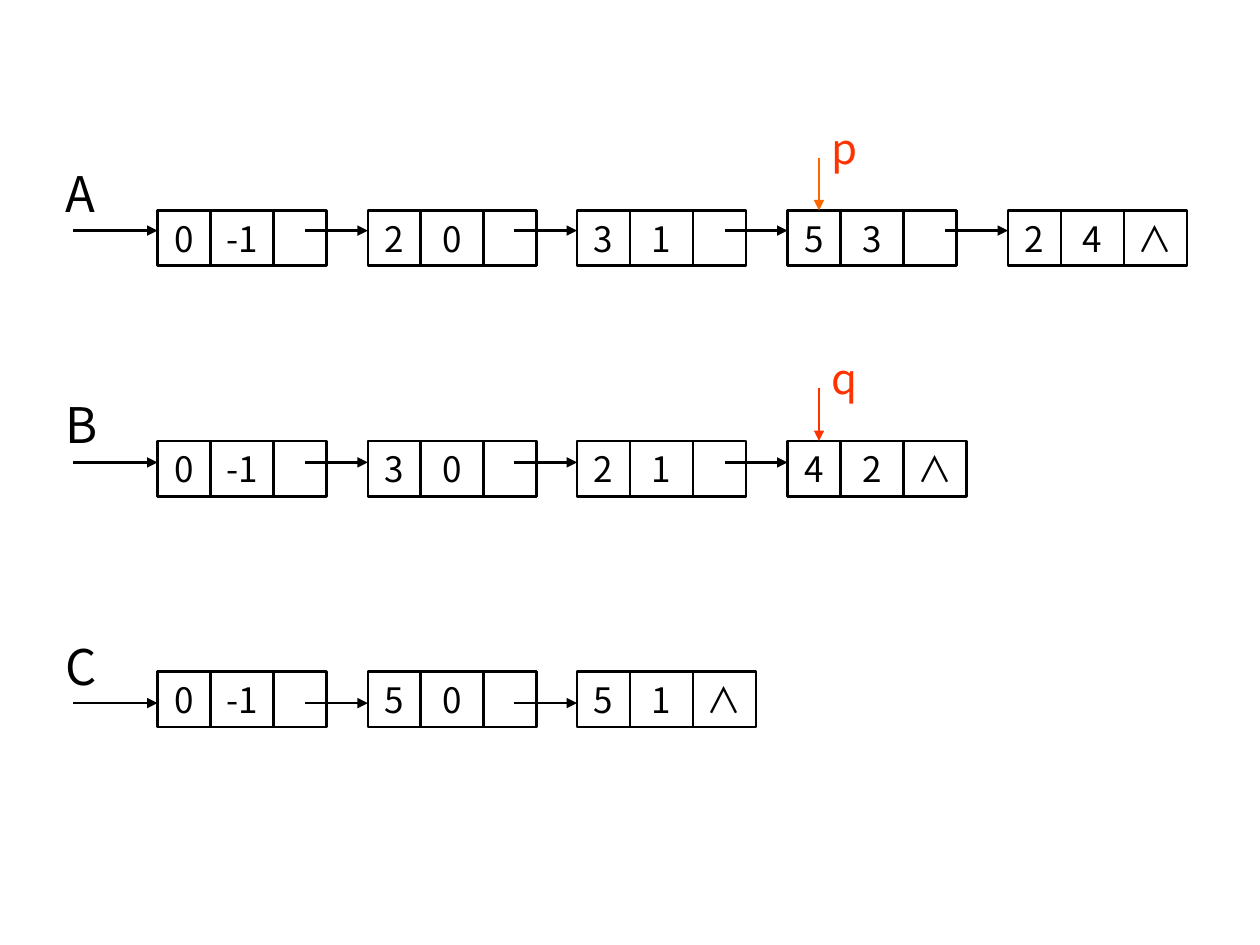
from lxml import etree
from pptx import Presentation, util as u
from pptx.dml.color import RGBColor
from pptx.enum import shapes, text
from pptx.oxml.ns import qn

COLORS = {"ink": "000000", "orange": "FF6600", "red": "FF3300"}
LATIN_FONT = "Noto Sans CJK JP"
SYMBOL_FONT = "Noto Sans CJK SC"
END = "∧"

LISTS = [
    {"name": "A", "top": 1.67, "label_top": 1.25, "arrow_y": 1.83,
     "terms": [("0", "-1"), ("2", "0"), ("3", "1"), ("5", "3"), ("2", "4")]},
    {"name": "B", "top": 3.5, "label_top": 3.08, "arrow_y": 3.67,
     "terms": [("0", "-1"), ("3", "0"), ("2", "1"), ("4", "2")]},
    {"name": "C", "top": 5.33, "label_top": 5, "arrow_y": 5.58,
     "terms": [("0", "-1"), ("5", "0"), ("5", "1")]},
]
POINTERS = [("p", 1.67, "orange"), ("q", 3.5, "red")]
NODE_LEFTS = [1.25, 2.92, 4.58, 6.25, 8]
CELL_HEIGHT = 0.44
COEF_WIDTH, EXP_WIDTH, LINK_WIDTH, END_WIDTH = 0.42, 0.5, 0.42, 0.5
POINTER_X = 6.5

deck = Presentation()
deck.slide_width, deck.slide_height = u.Inches(10), u.Inches(7.5)
page = deck.slides.add_slide(deck.slide_layouts[6])


def color(name):
    return RGBColor.from_string(COLORS[name])


def write(box, words, size=20, ink="ink", font=LATIN_FONT, align=text.PP_ALIGN.LEFT):
    frame = box.text_frame
    frame.word_wrap = True
    frame.vertical_anchor = text.MSO_ANCHOR.MIDDLE
    para = frame.paragraphs[0]
    para.alignment = align
    span = para.add_run()
    span.text = words
    span.font.size = u.Pt(size)
    span.font.name = font
    span.font.color.rgb = color(ink)
    east_asian = etree.SubElement(span.font._element, qn("a:ea"))
    east_asian.set("typeface", font)


def add_cell(left, top, width, words=""):
    cell = page.shapes.add_shape(
        shapes.MSO_SHAPE.RECTANGLE,
        *map(u.Inches, (left, top, width, CELL_HEIGHT)))
    cell.shadow.inherit = False
    cell.fill.background()
    cell.line.color.rgb = color("ink")
    cell.line.width = u.Pt(1.5)
    if words:
        font = SYMBOL_FONT if words == END else LATIN_FONT
        write(cell, words, font=font, align=text.PP_ALIGN.CENTER)


def add_label(left, top, height, words, **style):
    box = page.shapes.add_textbox(*map(u.Inches, (left, top, 0.83, height)))
    write(box, words, **style)


def add_arrow(start, end, ink="ink", width=1.5):
    arrow = page.shapes.add_connector(
        shapes.MSO_CONNECTOR.STRAIGHT, *map(u.Inches, start + end))
    arrow.line.color.rgb = color(ink)
    arrow.line.width = u.Pt(width)
    outline = arrow.line._get_or_add_ln()
    etree.SubElement(outline, qn("a:tailEnd")).set("type", "triangle")
    etree.SubElement(arrow._element.spPr, qn("a:effectLst"))


for row in LISTS:
    top, arrow_y = row["top"], row["arrow_y"]
    last = len(row["terms"]) - 1
    for index, (coefficient, exponent) in enumerate(row["terms"]):
        left = NODE_LEFTS[index]
        exp_left = left + COEF_WIDTH
        link_left = exp_left + EXP_WIDTH
        add_cell(exp_left, top, EXP_WIDTH, exponent)
        add_cell(left, top, COEF_WIDTH, coefficient)
        if index == last:
            add_cell(link_left, top, END_WIDTH, END)
        else:
            add_cell(link_left, top, LINK_WIDTH)
    for index, left in enumerate(NODE_LEFTS[:last + 1]):
        arrow_length = 0.5 if index else 0.67
        add_arrow((left - arrow_length, arrow_y), (left, arrow_y))
    add_label(0.42, row["label_top"], 0.57, row["name"], size=28)

for name, top, ink in POINTERS:
    add_arrow((POINTER_X, top - 0.42), (POINTER_X, top), ink=ink, width=0.75)
    add_label(POINTER_X, top - 0.75, 0.5, name, size=24, ink="red")

deck.save("out.pptx")
